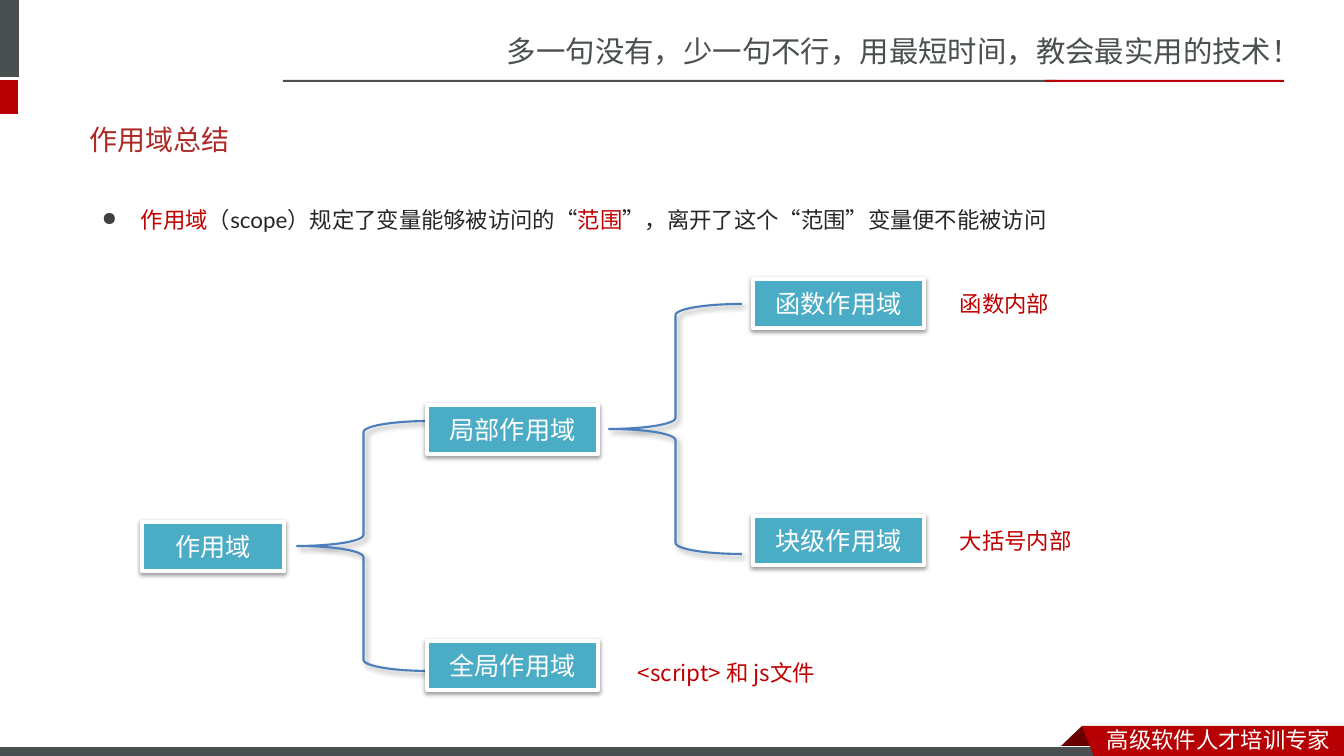
"""Builds the slide that sums up variable scopes as a bracket tree."""
import pptx
import pptx.dml.color
import pptx.enum.shapes
import pptx.enum.text
import pptx.oxml
import pptx.oxml.ns
import pptx.util

PX = 914400 / 100.8
SHAPE = pptx.enum.shapes.MSO_SHAPE
ALIGN = pptx.enum.text.PP_ALIGN
ANCHOR = pptx.enum.text.MSO_ANCHOR
NS = pptx.oxml.ns.nsdecls("a")


def emu(px):
    return round(px * PX)


def rgb(value):
    return pptx.dml.color.RGBColor.from_string(value)


class Deck:
    gray, red, dark_red, teal, blue = "49504F", "B60004", "680000", "4BACC6", "4B7EBC"
    white, ink, accent, title_red = "FFFFFF", "262626", "C00000", "AD2A26"
    cjk = "Noto Sans CJK SC"
    label_font = "Noto Sans CJK JP"

    def __init__(self):
        self.prs = pptx.Presentation()
        self.prs.slide_width = emu(1344)
        self.prs.slide_height = emu(756)
        self.s = self.prs.slides.add_slide(self.prs.slide_layouts[5])

    def font(self, target, size, color, name):
        f = target.font
        f.size = pptx.util.Pt(size)
        f.color.rgb = rgb(color)
        f.name = name
        east = self.label_font if name == self.label_font else self.cjk
        latin = f._element.find(pptx.oxml.ns.qn("a:latin"))
        latin.addnext(pptx.oxml.parse_xml(f'<a:ea {NS} typeface="{east}"/>'))

    def paint(self, sp, fill=None, line=None, width=1):
        if fill:
            sp.fill.solid()
            sp.fill.fore_color.rgb = rgb(fill)
        else:
            sp.fill.background()
        if line:
            sp.line.color.rgb = rgb(line)
            sp.line.width = pptx.util.Pt(width)
        else:
            sp.line.fill.background()
        sp.shadow.inherit = False

    def shade(self, sp, alpha, blur, dist, angle):
        effects = sp._element.spPr.find(pptx.oxml.ns.qn("a:effectLst"))
        effects.append(pptx.oxml.parse_xml(
            f'<a:outerShdw {NS} blurRad="{round(blur * 12700)}" dist="{round(dist * 12700)}" '
            f'dir="{angle * 60000}" algn="tl" rotWithShape="0"><a:srgbClr val="000000">'
            f'<a:alpha val="{alpha * 1000}"/></a:srgbClr></a:outerShdw>'))

    def shape(self, box, fill=None, line=None, width=1, kind=SHAPE.RECTANGLE):
        sp = self.s.shapes.add_shape(kind, *map(emu, box))
        self.paint(sp, fill, line, width)
        return sp

    def outline(self, points, fill):
        builder = self.s.shapes.build_freeform(*points[0], scale=PX)
        builder.add_line_segments(points[1:], close=True)
        self.paint(builder.convert_to_shape(), fill)

    def node(self, left, top, width, text):
        sp = self.shape((left, top, width, 49), self.teal, self.white, 3)
        self.shade(sp, 38, 3.1, 1.6, 90)
        tf = sp.text_frame
        tf.vertical_anchor = ANCHOR.MIDDLE
        p = tf.paragraphs[0]
        p.text = text
        p.alignment = ALIGN.CENTER
        self.font(p, 18, self.white, "Calibri")

    def brace(self, left, top):
        sp = self.shape((left, top, 133, 250), None, self.blue, 1.5, SHAPE.LEFT_BRACE)
        self.shade(sp, 40, 4, 3, 45)

    def text(self, box, text, size, color, name, wrap=False):
        tf = self.s.shapes.add_textbox(*map(emu, box)).text_frame
        tf.word_wrap = wrap
        p = tf.paragraphs[0]
        p.text = text
        self.font(p, size, color, name)

    def title(self, box, text):
        sp = self.s.shapes.title
        sp.left, sp.top, sp.width, sp.height = map(emu, box)
        tf = sp.text_frame
        tf.vertical_anchor = ANCHOR.MIDDLE
        p = tf.paragraphs[0]
        p.text = text
        p.alignment = ALIGN.LEFT
        self.font(p, 20, self.title_red, "Calibri")

    def bullet(self, box, runs):
        tf = self.s.shapes.add_textbox(*map(emu, box)).text_frame
        tf.word_wrap = True
        p = tf.paragraphs[0]
        p.line_spacing = 1.5
        pPr = p._p.get_or_add_pPr()
        pPr.set("marL", str(emu(39)))
        pPr.set("indent", str(-emu(39)))
        for xml in (f'<a:buClr {NS}><a:srgbClr val="404040"/></a:buClr>',
                    f'<a:buSzPct {NS} val="85000"/>',
                    f'<a:buChar {NS} char="●"/>'):
            pPr.append(pptx.oxml.parse_xml(xml))
        for text, color in runs:
            r = p.add_run()
            r.text = text
            self.font(r, 16, color, "Lato")


def main():
    d = Deck()

    d.text((497, 28, 848, 47), "多一句没有，少一句不行，用最短时间，教会最实用的技术！", 21, d.gray, d.cjk)
    for box, color in [((-6, 0, 25, 77), d.gray), ((-6, 80, 24, 34), d.red),
                       ((283, 80, 774, 2), d.gray), ((1045, 80, 239, 2), d.red)]:
        d.shape(box, color)
    d.outline([(1082, 726), (1104, 748), (1103, 749), (1060, 749), (1059, 748)], d.dark_red)
    d.shape((-1, 747, 1109, 12), d.gray, d.white, 0.75)
    d.outline([(1082, 726), (1344, 726), (1344, 760), (1095, 759)], d.red)
    d.text((1097, 721, 247, 37), "高级软件人才培训专家", 16, d.white, d.cjk)

    d.title((79, 111, 1181, 57), "作用域总结")
    d.bullet((92, 188, 1181, 502), [
        ("作用域", d.accent), ("（scope）规定了变量能够被访问的“", d.ink),
        ("范围", d.accent), ("”，离开了这个“范围”变量便不能被访问", d.ink)])

    for left, top in [(297, 421), (609, 304)]:
        d.brace(left, top)
    for left, top, width, text in [
            (142, 522, 142, "作用域"),
            (427, 405, 171, "局部作用域"), (427, 641, 171, "全局作用域"),
            (753, 279, 171, "函数作用域"), (753, 516, 171, "块级作用域")]:
        d.node(left, top, width, text)
    for box, text, wrap in [
            ((628, 654, 200, 37), "<script> 和 js文件", True),
            ((950, 285, 110, 37), "函数内部", False),
            ((950, 522, 132, 37), "大括号内部", False)]:
        d.text(box, text, 16, d.accent, d.label_font, wrap)

    d.prs.save("out.pptx")


if __name__ == "__main__":
    main()
